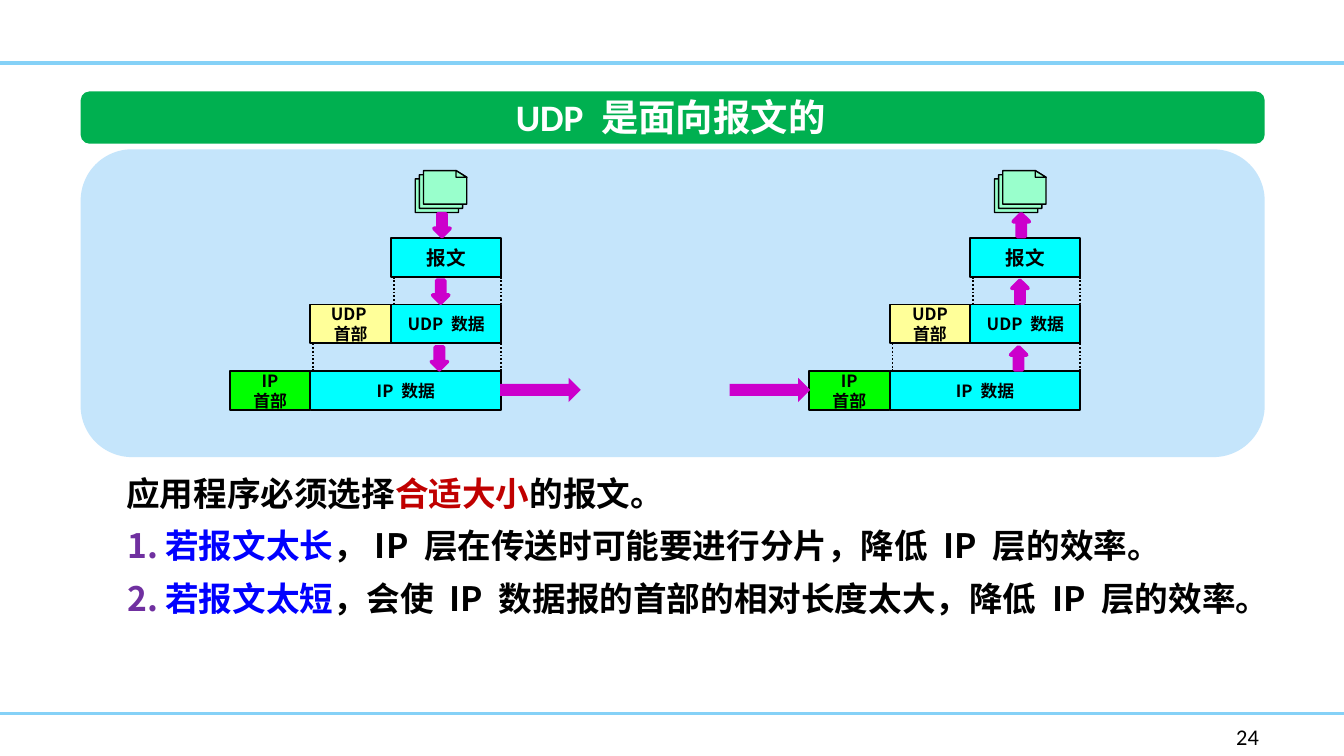
from dataclasses import dataclass

from lxml import etree
from pptx import Presentation
from pptx.dml.color import RGBColor
from pptx.enum.dml import MSO_LINE
from pptx.enum.shapes import MSO_CONNECTOR, MSO_SHAPE
from pptx.enum.text import MSO_ANCHOR, MSO_AUTO_SIZE, PP_ALIGN
from pptx.oxml.ns import qn
from pptx.util import Pt

RECT, ROUND = MSO_SHAPE.RECTANGLE, MSO_SHAPE.ROUNDED_RECTANGLE
DOWN, UP, RIGHT = MSO_SHAPE.DOWN_ARROW, MSO_SHAPE.UP_ARROW, MSO_SHAPE.RIGHT_ARROW
LINE, DOTS = MSO_CONNECTOR.STRAIGHT, MSO_LINE.ROUND_DOT
CENTER, LEFT = PP_ALIGN.CENTER, PP_ALIGN.LEFT
TOP, MIDDLE = MSO_ANCHOR.TOP, MSO_ANCHOR.MIDDLE
FIXED = MSO_AUTO_SIZE.NONE


@dataclass(frozen=True)
class Theme:
    latin: str = "Calibri"
    asian: str = "Noto Sans CJK SC"
    title: float = 20
    body: float = 18
    label: float = 10.5
    small: float = 9
    page: float = 12
    lead: float = 28
    black: str = "000000"
    white: str = "FFFFFF"
    rule: str = "85D1F7"
    banner: str = "00B050"
    panel: str = "C5E5FB"
    paper: str = "99FFCC"
    data: str = "00FFFF"
    udp: str = "FFFF99"
    ip: str = "00FF00"
    arrow: str = "CC00CC"
    red: str = "C00000"
    blue: str = "0000FF"
    number: str = "7030A0"


T = Theme()


def paint(shape, fill, line=None, width=1):
    shape.shadow.inherit = False
    shape.fill.solid()
    shape.fill.fore_color.rgb = RGBColor.from_string(fill)
    if line:
        shape.line.color.rgb = RGBColor.from_string(line)
        shape.line.width = Pt(width)
    else:
        shape.line.fill.background()


def block(shapes, kind, box, fill, line=None, width=1):
    shape = shapes.add_shape(kind, *map(Pt, box))
    paint(shape, fill, line, width)
    return shape


def rule(shapes, start, end, color, width, dash=None):
    line = shapes.add_connector(LINE, *map(Pt, start + end))
    line.line.color.rgb = RGBColor.from_string(color)
    line.line.width = Pt(width)
    if dash:
        line.line.dash_style = dash
    etree.SubElement(line.element.spPr, qn("a:effectLst"))


def write(par, text, size, color=T.black, face=T.asian, bold=True):
    run = par.add_run()
    run.text = text
    font = run.font
    font.name, font.size, font.bold = face, Pt(size), bold
    font.color.rgb = RGBColor.from_string(color)
    asian = etree.SubElement(run._r.get_or_add_rPr(), qn("a:ea"))
    asian.set("typeface", T.asian)


def place(shape, box):
    shape.left, shape.top, shape.width, shape.height = map(Pt, box)


def cell(shapes, box, fill, text, size):
    frame = block(shapes, RECT, box, fill, T.black).text_frame
    frame.word_wrap, frame.vertical_anchor = True, MIDDLE
    for i, part in enumerate(text.split("\n")):
        par = frame.add_paragraph() if i else frame.paragraphs[0]
        par.alignment = CENTER
        write(par, part, size)


def outline(shapes, points):
    points = [(Pt(x), Pt(y)) for x, y in points]
    pen = shapes.build_freeform(*points[0])
    pen.add_line_segments(points[1:], close=True)
    paint(pen.convert_to_shape(), T.paper, T.black, 0.75)


def papers(shapes, x, y):
    wide, high, fold, gap = 23.2, 18, 3.6, 2.2
    # Sheets from back to front
    for step in (2, 1, 0):
        left, top = x + (2 - step) * gap, y + step * gap
        right, low = left + wide, top + high
        notch = (right - 5.8, top)
        edge = (right, top + fold)
        outline(shapes, [(left, top), notch, edge, (right, low), (left, low)])
    # Folded corner of the front sheet
    outline(shapes, [notch, edge, (notch[0], edge[1])])


def stack(slide, x, y, arrow, head):
    shapes = slide.shapes.add_group_shape().shapes
    unit, high, end = 43.2, 20.9, 145.4
    tops = [y + 36 + 35.7 * i for i in range(3)]
    papers(shapes, x + 99.4, y)
    # Message, UDP and IP rows: (text, size, header, header colour)
    rows = [("报文", T.label, None, None),
            ("UDP 数据", T.small, head, T.udp),
            ("IP 数据", T.small, "IP\n首部", T.ip)]
    for i, (top, (text, size, lead, tint)) in enumerate(zip(tops, rows)):
        left = unit * min(2, 3 - i)
        cell(shapes, (x + left, top, end - left, high), T.data, text, size)
        if lead:
            cell(shapes, (x + left - unit, top, unit, high), tint, lead, T.small)
        block(shapes, arrow, (x + 109.4 - 0.7 * i, top - 12.9, 8.6, 12.2),
              T.arrow, T.arrow, 2)
    # Dotted guides between rows
    for i in range(2):
        for side in (unit * (2 - i) + 1.5, end - 0.3):
            rule(shapes, (x + side, tops[i] + high), (x + side, tops[i + 1]),
                 T.black, 1, DOTS)


def diagram(slide, box):
    x, y, wide, high = box
    block(slide.shapes, ROUND, box, T.panel)
    send, take = x + 79.9, x + 390.2
    stack(slide, send, y + 11.4, DOWN, "UDP首部")
    stack(slide, take, y + 11.4, UP, "UDP\n首部")
    # Packet leaving the sender and reaching the receiver
    for left in (send + 144.9, take - 42.5):
        block(slide.shapes, RIGHT, (left, y + 122.4, 43.2, 13), T.arrow)


def header(slide, box):
    x, y, wide, high = box
    banner = block(slide.shapes, ROUND, box, T.banner)
    banner.adjustments[0] = 0.17
    title = slide.shapes.title
    place(title, (x + 225.4, y - 2.2, 181.4, 31.7))
    banner.element.addnext(title.element)
    frame = title.text_frame
    frame.auto_size, frame.word_wrap, frame.vertical_anchor = FIXED, False, TOP
    par = frame.paragraphs[0]
    par.alignment = CENTER
    write(par, "UDP 是面向报文的", T.title, T.white, T.latin)


def bullet(par, numbered):
    props = par._p.get_or_add_pPr()
    props.set("marL", str(Pt(20.9 if numbered else 0)))
    props.set("indent", str(Pt(-20.2 if numbered else 0)))
    if numbered:
        tint = etree.SubElement(props, qn("a:buClr"))
        etree.SubElement(tint, qn("a:srgbClr")).set("val", T.number)
        face = etree.SubElement(props, qn("a:buFont"))
        face.set("typeface", T.asian)
        etree.SubElement(props, qn("a:buAutoNum")).set("type", "arabicPeriod")
    else:
        etree.SubElement(props, qn("a:buNone"))


def notes(slide, box):
    body = slide.placeholders[1]
    place(body, box)
    frame = body.text_frame
    frame.auto_size, frame.word_wrap, frame.vertical_anchor = FIXED, True, TOP
    lines = [
        [("应用程序必须选择", T.black), ("合适大小", T.red), ("的报文。", T.black)],
        [("若报文太长", T.blue),
         ("，IP 层在传送时可能要进行分片，降低 IP 层的效率。", T.black)],
        [("若报文太短", T.blue),
         ("，会使 IP 数据报的首部的相对长度太大，降低 IP 层的效率。", T.black)],
    ]
    for i, parts in enumerate(lines):
        par = frame.add_paragraph() if i else frame.paragraphs[0]
        bullet(par, i > 0)
        par.alignment = LEFT
        par.line_spacing, par.space_before = Pt(T.lead), Pt(0)
        for text, color in parts:
            write(par, text, T.body, color)


def footer(slide, box):
    frame = slide.shapes.add_textbox(*map(Pt, box)).text_frame
    frame.word_wrap = True
    write(frame.paragraphs[0], "24", T.page, face=T.latin, bold=False)


def main():
    deck = Presentation()
    deck.slide_width, deck.slide_height = Pt(720), Pt(405)
    slide = deck.slides.add_slide(deck.slide_layouts[1])
    # Rules across the top and bottom
    for y in (33.8, 382.3):
        rule(slide.shapes, (0, y), (720, y), T.rule, 2)
    header(slide, (43.2, 49, 634.3, 28))
    diagram(slide, (43.2, 80, 634.3, 164.9))
    notes(slide, (60.5, 243.4, 611.3, 89.3))
    footer(slide, (655.2, 383.8, 54.7, 21.6))
    deck.save("out.pptx")


if __name__ == "__main__":
    main()
